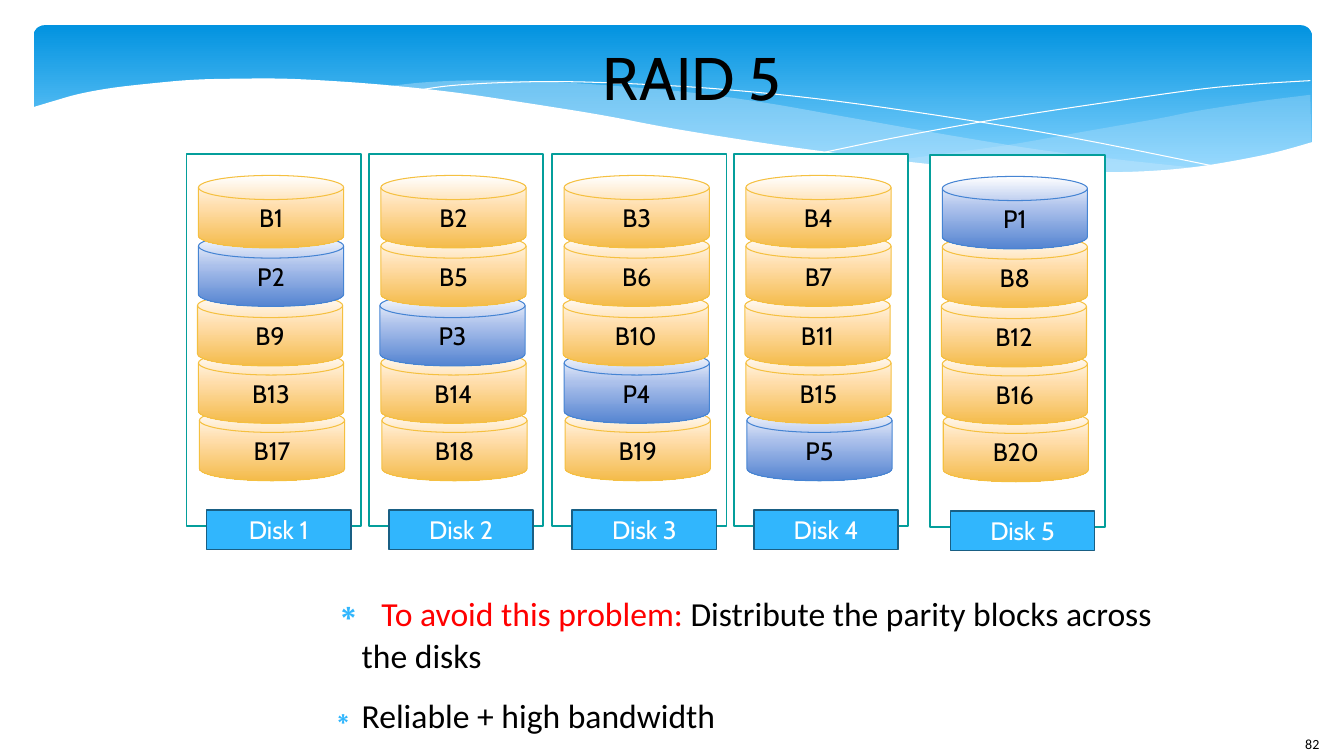
from lxml import etree
from pptx import Presentation
from pptx import util as u
from pptx.dml.color import RGBColor
from pptx.enum import shapes, text
from pptx.oxml import ns

BLACK = RGBColor(0x00, 0x00, 0x00)
WHITE = RGBColor(0xFF, 0xFF, 0xFF)
RED = RGBColor(0xFF, 0x00, 0x00)
SKY = RGBColor(0x31, 0xB6, 0xFD)
NAVY = RGBColor(0x19, 0x5F, 0x84)
TEAL = RGBColor(0x04, 0x9E, 0x9B)
MIST = RGBColor(0xC6, 0xE7, 0xFC)
BANNER_TOP = RGBColor(0x02, 0x93, 0xE0)
BANNER_BOTTOM = RGBColor(0x83, 0xD3, 0xFE)
GOLD_LINE = RGBColor(0xF5, 0xC0, 0x40)
GOLD_STOPS = [(0, WHITE), (44, RGBColor(0xFF, 0xDD, 0xAA)), (100, RGBColor(0xF4, 0xBB, 0x4A))]
BLUE_LINE = RGBColor(0x45, 0x84, 0xD3)
BLUE_STOPS = [(0, WHITE), (44, RGBColor(0xAB, 0xC0, 0xEB)), (100, RGBColor(0x54, 0x84, 0xD1))]

RIGHT_WAVE = [
    [(912, 49.7), (873, 54.7), (831.4, 61.2), (801.8, 67), (748.6, 76.3), (699.6, 85),
     (653.5, 91.4), (611, 97.2)],
    [(611, 97.2), (652.8, 100.8), (691, 103.7), (725.5, 105.8), (767.3, 105.8), (804.7, 104.4),
     (837.1, 100.8), (873.8, 94.3), (900.5, 87.8), (912.7, 84.2)]]
MIDDLE_WAVE = [
    [(832.8, 102.2), (779.5, 96.5), (720.5, 89.3), (653.5, 78.5), (580, 65.5), (522.5, 55.4),
     (470, 48.2), (421.7, 43.9), (379.2, 41), (340.3, 39.6), (306.5, 39.6), (277, 41), (251, 43.9)],
    [(251, 43.9), (286.3, 46.8), (323.8, 51.8), (364, 58.3), (407.3, 65.5), (484.3, 79.2),
     (553.4, 90), (614.6, 97.9), (669.4, 103), (717.6, 105.8), (760.8, 106.6), (799, 105.1),
     (832.8, 102.2)]]
FALLING_LINE = [
    [(272.6, 46.8), (297.8, 43.2), (335.3, 41), (375.6, 40.3), (426, 41.8), (487.2, 45.4),
     (559.9, 52.6), (643.4, 64.1), (739.2, 79.9), (847.2, 101.5)]]
RISING_LINE = [
    [(565, 90.7), (621.1, 79.2), (693.8, 66.2), (778.8, 53.3), (835.7, 45.4), (876, 41.8),
     (912, 39.6)]]
WHITE_WAVE = [
    [(913.4, 83.5), (887.5, 90.7), (859.4, 96.5), (827.8, 101.5), (792.5, 104.4), (752.2, 105.1),
     (706.8, 104.4), (655.7, 100.8), (597.4, 94.3), (531.8, 85.7), (459.1, 74.2), (405.1, 64.1),
     (351.1, 55.4), (302.2, 48.2), (256.8, 43.2), (215.8, 40), (179, 38.2), (145.2, 38.2),
     (115.7, 38.9), (89.8, 41), (57.4, 44.6), (32.9, 49), (14.9, 54), (-1.7, 59)],
    [(-1.7, 143.3), (913.4, 143.3)]]

DISKS = [
    (133.2, 110.2, ["B1", "P2", "B9", "B13", "B17"]),
    (263.5, 110.2, ["B2", "B5", "P3", "B14", "B18"]),
    (394.4, 110.2, ["B3", "B6", "B10", "P4", "B19"]),
    (524.2, 110.2, ["B4", "B7", "B11", "B15", "P5"]),
    (664.5, 110.9, ["P1", "B8", "B12", "B16", "B20"])]
BLOCK_OFFSETS = [(8.6, 15.1), (8.6, 56.9), (7.9, 99.4), (8.6, 140.4), (9.3, 181.4)]


def smooth(knots, steps=5):
    """Return points on a Catmull-Rom curve through the knots."""
    padded = [knots[0], *knots, knots[-1]]
    points = [knots[0]]
    for a, b, c, d in zip(padded, padded[1:], padded[2:], padded[3:]):
        for step in range(1, steps + 1):
            t = step / steps
            points.append(tuple(
                b[i] + t / 2 * (c[i] - a[i] + t * (2 * a[i] - 5 * b[i] + 4 * c[i] - d[i]
                                + t * (3 * b[i] - a[i] - 3 * c[i] + d[i]))) for i in (0, 1)))
    return points


def set_gradient(shape, stops):
    """Fill a shape from top to bottom with the given colour stops."""
    shape.fill.gradient()
    shape.fill.gradient_angle = 270
    stop_list = shape.element.spPr.find(".//" + ns.qn("a:gsLst"))
    for old in list(stop_list):
        stop_list.remove(old)
    for percent, color in stops:
        stop = etree.SubElement(stop_list, ns.qn("a:gs"), pos=str(percent * 1000))
        etree.SubElement(stop, ns.qn("a:srgbClr"), val=str(color))


def add_wave(page, left, top, curves, color, opacity=100, closed=True):
    """Draw smoothed curves as one filled outline or one thin line."""
    points = [(u.Pt(left + x), u.Pt(top + y)) for curve in curves for x, y in smooth(curve)]
    builder = page.shapes.build_freeform(*points[0], scale=1.0)
    builder.add_line_segments(points[1:], close=closed)
    wave = builder.convert_to_shape()
    wave.shadow.inherit = False
    if not closed:
        wave.fill.background()
        wave.line.color.rgb = color
        wave.line.width = u.Pt(0)
        return
    wave.line.fill.background()
    wave.fill.solid()
    wave.fill.fore_color.rgb = color
    if opacity < 100:
        tint = wave.element.spPr.find(".//" + ns.qn("a:srgbClr"))
        etree.SubElement(tint, ns.qn("a:alpha"), val=str(opacity * 1000))


def add_banner(page, left, top, width, height):
    """Draw the blue header with its waves."""
    banner = page.shapes.add_shape(shapes.MSO_SHAPE.ROUNDED_RECTANGLE,
                                   u.Pt(left), u.Pt(top), u.Pt(width), u.Pt(height))
    banner.adjustments[0] = 0.07
    banner.shadow.inherit = False
    banner.line.fill.background()
    set_gradient(banner, [(0, BANNER_TOP), (90, BANNER_BOTTOM)])
    add_wave(page, left, top, RIGHT_WAVE, MIST, 29)
    add_wave(page, left, top, MIDDLE_WAVE, MIST, 40)
    for line in (FALLING_LINE, RISING_LINE):
        add_wave(page, left, top, line, WHITE, closed=False)
    add_wave(page, left, top, WHITE_WAVE, WHITE)


def add_span(para, words, size, font, color):
    """Add one formatted run."""
    span = para.add_run()
    span.text = words
    span.font.size = u.Pt(size)
    span.font.name = font
    span.font.color.rgb = color


def add_part(page, kind, box, fill, line, weight, words="", color=BLACK):
    """Draw one part of a disk with a centred label."""
    part = page.shapes.add_shape(kind, *map(u.Pt, box))
    part.shadow.inherit = False
    if isinstance(fill, list):
        set_gradient(part, fill)
    else:
        part.fill.solid()
        part.fill.fore_color.rgb = fill
    part.line.color.rgb = line
    part.line.width = u.Pt(weight)
    if words:
        para = part.text_frame.paragraphs[0]
        para.alignment = text.PP_ALIGN.CENTER
        add_span(para, words, 18, "Cabin", color)


def add_disk(page, left, top, name, blocks):
    """Draw a frame, its stack of blocks from the bottom up, and its name."""
    process = shapes.MSO_SHAPE.FLOWCHART_PROCESS
    add_part(page, process, (left, top, 124.6, 265.7), WHITE, TEAL, 1.25)
    for block, (x, y) in reversed(list(zip(blocks, BLOCK_OFFSETS))):
        stops, line = (BLUE_STOPS, BLUE_LINE) if block.startswith("P") else (GOLD_STOPS, GOLD_LINE)
        add_part(page, shapes.MSO_SHAPE.FLOWCHART_MAGNETIC_DISK,
                 (left + x, top + y, 103.7, 51.8), stops, line, 0.75, block)
    add_part(page, process, (left + 14.4, top + 254.2, 103, 28.1), SKY, NAVY, 1.25, name, WHITE)


def place_placeholder(holder, box, anchor):
    """Move a placeholder to the front and into its box, without insets."""
    holder.element.getparent().append(holder.element)
    holder.left, holder.top, holder.width, holder.height = map(u.Pt, box)
    frame = holder.text_frame
    frame.margin_left = frame.margin_top = frame.margin_right = frame.margin_bottom = 0
    frame.word_wrap = True
    frame.auto_size = text.MSO_AUTO_SIZE.NONE
    frame.vertical_anchor = anchor
    return frame


def add_title(page, box):
    """Write the slide title."""
    para = place_placeholder(page.shapes.title, box, text.MSO_ANCHOR.MIDDLE).paragraphs[0]
    para.alignment = text.PP_ALIGN.CENTER
    add_span(para, "RAID 5", 42.9, "Cabin", BLACK)


def format_bullet(para):
    """Give a paragraph a hanging blue asterisk."""
    props = para._p.get_or_add_pPr()
    props.set("marL", str(u.Pt(33.8)))
    props.set("indent", str(u.Pt(-25.2)))
    color = etree.SubElement(props, ns.qn("a:buClr"))
    etree.SubElement(color, ns.qn("a:srgbClr"), val=str(SKY))
    etree.SubElement(props, ns.qn("a:buChar"), char="∗")
    para.space_before = u.Pt(0)
    para.space_after = u.Pt(14.1)


def add_notes_list(page, box):
    """Write the two bullet points."""
    frame = place_placeholder(page.placeholders[1], box, text.MSO_ANCHOR.TOP)
    problem, benefit = frame.paragraphs[0], frame.add_paragraph()
    for para in (problem, benefit):
        format_bullet(para)
    add_span(problem, " ", 32, "Calibri", BLACK)
    add_span(problem, "To avoid this problem: ", 24, "Calibri", RED)
    add_span(problem, "Distribute the parity blocks across", 24, "Calibri", BLACK)
    problem.add_line_break()
    add_span(problem, "the disks", 24, "Calibri", BLACK)
    add_span(benefit, "Reliable + high bandwidth", 24, "Calibri", BLACK)


def add_page_number(page, box):
    """Write the page number."""
    frame = page.shapes.add_textbox(*map(u.Pt, box)).text_frame
    frame.word_wrap = True
    add_span(frame.paragraphs[0], "82", 10, "Calibri", BLACK)


def main():
    """Build and save the deck."""
    deck = Presentation()
    deck.slide_width, deck.slide_height = u.Pt(960), u.Pt(540)
    page = deck.slides.add_slide(deck.slide_layouts[1])
    add_banner(page, 24, 18, 913, 112.3)
    add_page_number(page, (925.2, 522, 59, 28.8))
    for number, (left, top, blocks) in enumerate(DISKS, 1):
        add_disk(page, left, top, f"Disk {number}", blocks)
    add_title(page, (202.3, 18, 583.9, 73.4))
    add_notes_list(page, (224.6, 415.4, 630.7, 108.7))
    deck.save("out.pptx")


if __name__ == "__main__":
    main()
